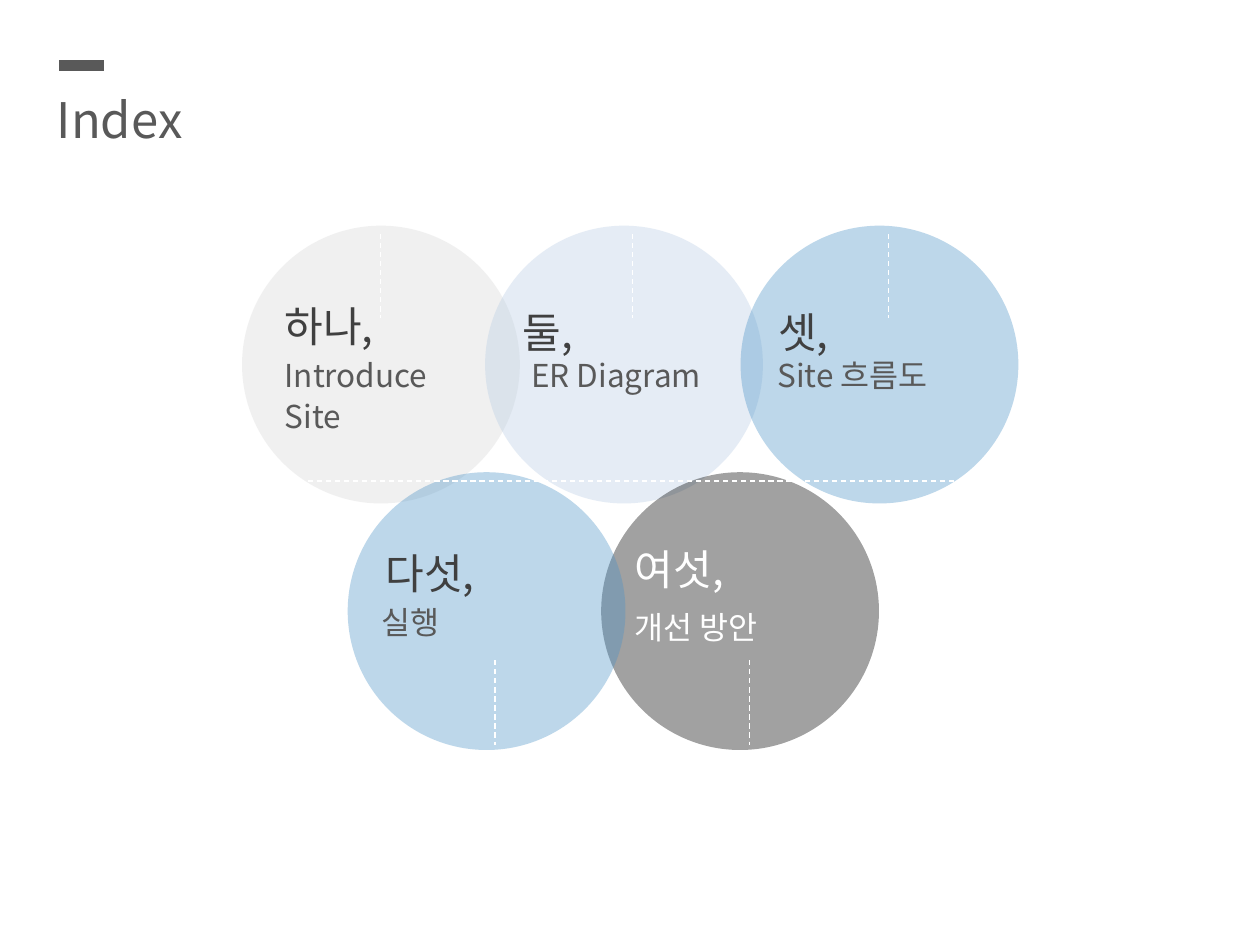
from dataclasses import dataclass

from lxml.etree import SubElement
from pptx import Presentation
from pptx.dml.color import RGBColor
from pptx.enum.dml import MSO_LINE
from pptx.enum.shapes import MSO_CONNECTOR, MSO_SHAPE
from pptx.enum.text import MSO_ANCHOR, MSO_AUTO_SIZE, PP_ALIGN
from pptx.oxml.ns import qn
from pptx.util import Cm, Pt

FONT = "Noto Sans CJK KR"
DARK, GRAY, WHITE = "404040", "595959", "FFFFFF"
DIAMETER = 5.6
DASH_LENGTH = 1.7
TOP_ROW, BOTTOM_ROW = 4.55, 9.52
TOP_DASH, BOTTOM_DASH = 4.72, 13.31


@dataclass
class Topic:
    """One circle of the index; positions are (left, top) in centimetres."""
    heading: str
    label: str
    fill: str
    circle: tuple
    heading_at: tuple
    label_at: tuple
    dash_at: tuple
    heading_color: str = DARK
    label_color: str = GRAY
    label_width: float = 5.13
    tight: bool = True


TOPICS = [
    Topic("하나,", "Introduce\nSite", "D9D9D9", (4.88, TOP_ROW), (5.49, 6.05),
          (5.49, 7.14), (7.67, TOP_DASH), label_width=4.09),
    Topic("둘,", "ER Diagram", "B9CDE5", (9.78, TOP_ROW), (10.29, 6.05),
          (10.46, 7.06), (12.75, TOP_DASH), tight=False),
    Topic("셋,", "Site 흐름도", "4C93C7", (14.93, TOP_ROW), (15.44, 6.05),
          (15.42, 7.06), (17.91, TOP_DASH), tight=False),
    Topic("여섯,", "개선 방안", "000000", (12.12, BOTTOM_ROW), (12.55, 10.95),
          (12.55, 12.22), (15.11, BOTTOM_DASH), WHITE, WHITE),
    Topic("다섯,", "실행", "4C93C7", (7.01, BOTTOM_ROW), (7.52, 11.02),
          (7.44, 12.12), (9.98, BOTTOM_DASH)),
]


def rgb(color):
    return RGBColor.from_string(color)


def format_text(frame, size, color, tight=False):
    """Style every run; tight text has 90 % lines and 4 pt after paragraphs."""
    for paragraph in frame.paragraphs:
        paragraph.alignment = PP_ALIGN.LEFT
        if tight:
            paragraph.line_spacing = 0.9
            paragraph.space_after = Pt(4)
        for span in paragraph.runs:
            span.font.size = Pt(size)
            span.font.name = FONT
            span.font.color.rgb = rgb(color)
            properties = span.font._element
            SubElement(properties, qn("a:ea")).set("typeface", FONT)


def add_title(page, text):
    title = page.shapes.title
    title.left, title.top, title.width, title.height = Cm(0.89), Cm(1.68), Cm(9.8), Cm(1.45)
    frame = title.text_frame
    frame.text = text
    frame.vertical_anchor = MSO_ANCHOR.TOP
    frame.auto_size = MSO_AUTO_SIZE.SHAPE_TO_FIT_TEXT
    format_text(frame, 28, GRAY)


def add_text(shapes, text, position, width, size, color, tight):
    left, top = position
    lines = text.count("\n") + 1
    box = shapes.add_textbox(Cm(left), Cm(top), Cm(width), Cm(size * 0.05 * lines))
    frame = box.text_frame
    frame.word_wrap = True
    frame.auto_size = MSO_AUTO_SIZE.SHAPE_TO_FIT_TEXT
    frame.text = text
    format_text(frame, size, color, tight)


def add_line(shapes, start, end, color=WHITE, width=0.75, dashed=True):
    line = shapes.add_connector(
        MSO_CONNECTOR.STRAIGHT, *(Cm(value) for value in (*start, *end)))
    line.line.color.rgb = rgb(color)
    line.line.width = Pt(width)
    if dashed:
        line.line.dash_style = MSO_LINE.DASH
    SubElement(line._element.spPr, qn("a:effectLst"))


def add_circle(shapes, position, color, opacity=37):
    left, top = position
    circle = shapes.add_shape(
        MSO_SHAPE.OVAL, Cm(left), Cm(top), Cm(DIAMETER), Cm(DIAMETER))
    circle.shadow.inherit = False
    circle.fill.solid()
    circle.fill.fore_color.rgb = rgb(color)
    circle.line.fill.background()
    fill_color = circle._element.spPr.find(qn("a:solidFill"))[0]
    SubElement(fill_color, qn("a:alpha")).set("val", str(opacity * 1000))


def add_topic(page, topic):
    shapes = page.shapes.add_group_shape().shapes
    add_circle(shapes, topic.circle, topic.fill)
    add_text(shapes, topic.heading, topic.heading_at, 4.09, 24,
             topic.heading_color, topic.tight)
    add_text(shapes, topic.label, topic.label_at, topic.label_width, 18,
             topic.label_color, topic.tight)
    left, top = topic.dash_at
    add_line(shapes, (left, top), (left, top + DASH_LENGTH))


def main():
    deck = Presentation()
    deck.slide_width, deck.slide_height = Cm(25.4), Cm(19.05)
    page = deck.slides.add_slide(deck.slide_layouts[5])
    add_title(page, "Index")
    add_line(page.shapes, (1.19, 1.32), (2.1, 1.32), GRAY, 6, dashed=False)
    for topic in TOPICS:
        add_topic(page, topic)
    add_line(page.shapes, (4.57, 9.7), (23.32, 9.7))
    deck.save("out.pptx")


if __name__ == "__main__":
    main()
